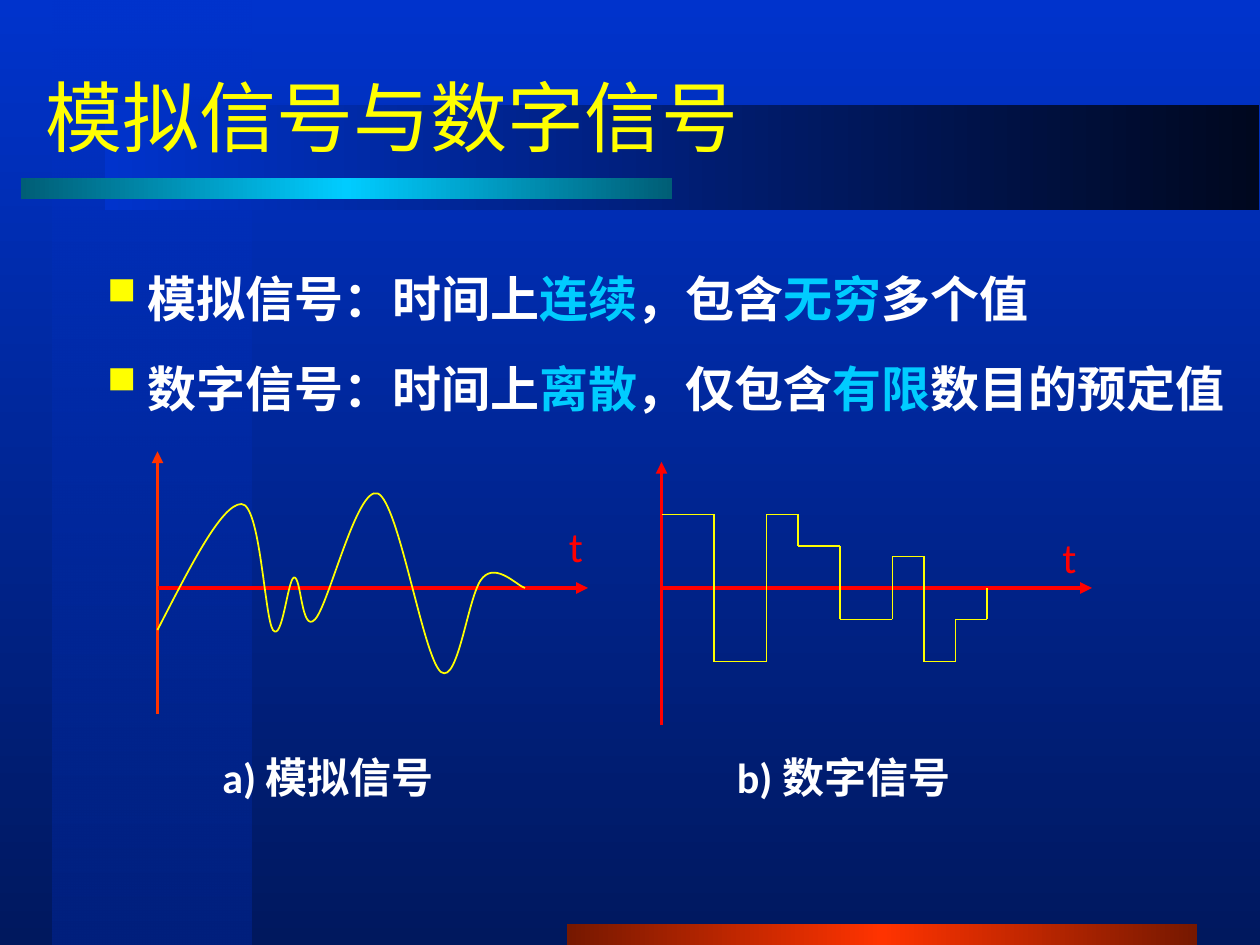
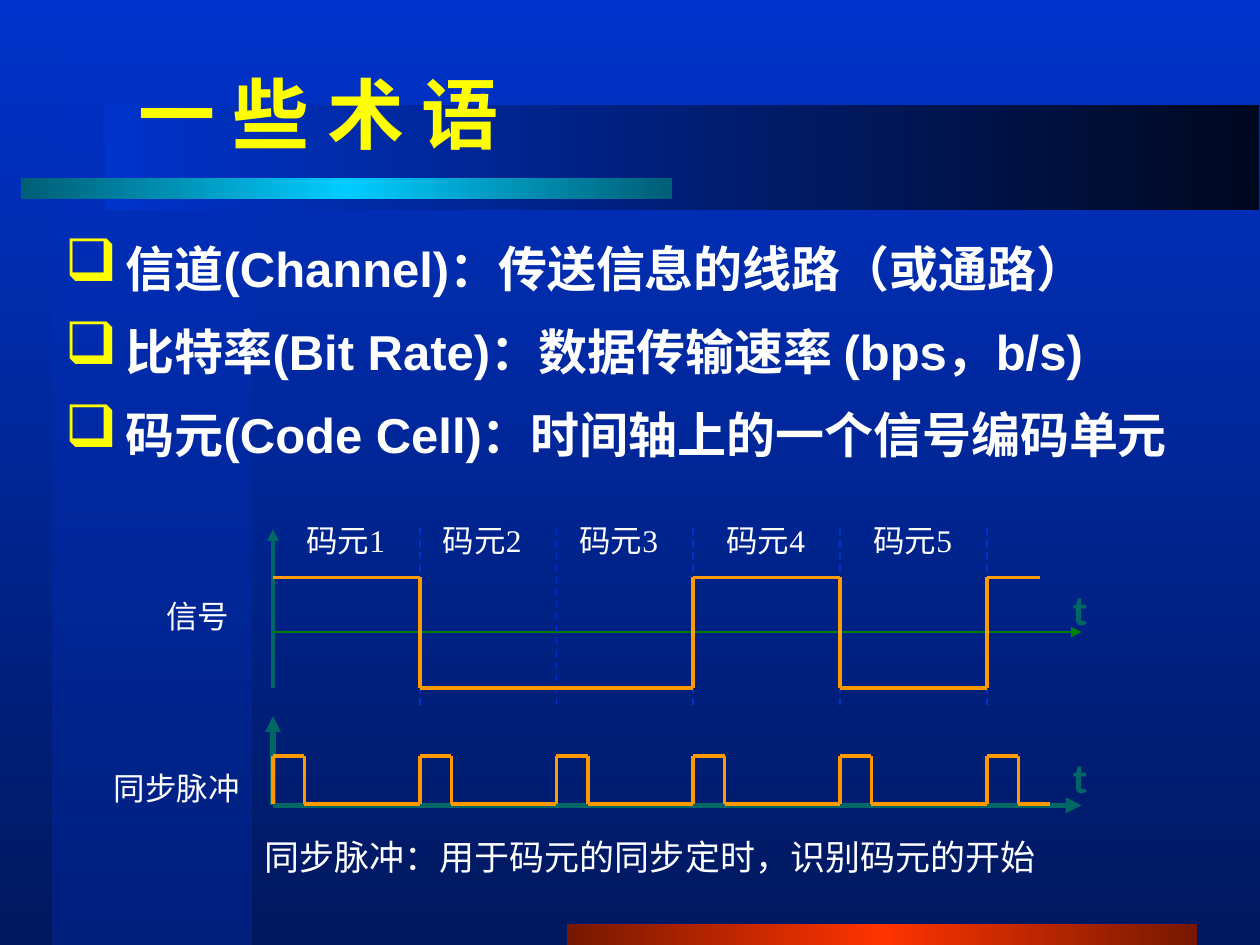
"""Two slides on analog and digital signals and on signalling terms."""
from lxml import etree
from pptx import Presentation
from pptx import util as u
from pptx.dml.color import RGBColor
from pptx.enum import dml, shapes, text
from pptx.oxml.ns import qn

SCALE = 7620
COLORS = {
    "blue": "0033CC", "navy": "00185E", "panel": "00207E", "night": "00081F",
    "rust": "761800", "flame": "FF3300", "teal": "005E76", "cyan": "00CCFF",
    "title": "FFFF01", "yellow": "FFFF00", "red": "FF0000", "white": "FFFFFF",
    "axis": "006666", "green": "008000", "orange": "FF9900",
}
CJK = "Noto Sans CJK SC"
BANDS = [
    ((50, 0, 190, 900), ["blue", "panel"], 90, 50),
    ((540, 880, 600, 20), ["rust", "flame", "rust"], 0, None),
    ((100, 100, 1099, 100), ["blue", "night"], 0, None),
    ((20, 170, 620, 20), ["teal", "cyan", "teal"], 0, None),
]


def px(length):
    """Turn px into EMU."""
    return u.Emu(round(length * SCALE))


def rgb(name):
    """Look up a named colour."""
    return RGBColor.from_string(COLORS[name])


def child(parent, tag, **attributes):
    """Append a DrawingML element to its parent."""
    return etree.SubElement(parent, qn(tag), attributes)


def paint_gradient(owner, fill, names, angle, alpha=None):
    """Fill with evenly spaced stops; alpha applies to the first stop."""
    fill.gradient()
    stops = next(owner.iter(qn("a:gsLst")))
    for stop in list(stops):
        stops.remove(stop)
    for index, name in enumerate(names):
        position = index * 100000 // (len(names) - 1)
        stop = child(stops, "a:gs", pos=str(position))
        color = child(stop, "a:srgbClr", val=COLORS[name])
        if alpha and index == 0:
            child(color, "a:alpha", val=str(alpha * 1000))
    next(owner.iter(qn("a:lin"))).set("ang", str(angle * 60000))


def style_span(span, size, font, color, bold):
    """Set the look of one run, with the East Asian font as well."""
    span.font.size = u.Pt(size)
    span.font.bold = bold
    span.font.name = font
    span.font.color.rgb = rgb(color)
    child(span.font._element, "a:ea", typeface=CJK)


def add_text(page, box, lines, size, font="Times New Roman", color="white", bold=False,
             align=text.PP_ALIGN.LEFT, anchor=text.MSO_ANCHOR.TOP, gap=0, spacing=None, bullet=None):
    """Add a text box; parts of a line between bars take the accent colour."""
    frame = page.shapes.add_textbox(*map(px, box)).text_frame
    frame.word_wrap = True
    frame.vertical_anchor = anchor
    for index, line in enumerate(lines):
        para = frame.add_paragraph() if index else frame.paragraphs[0]
        para.alignment = align
        para.line_spacing = spacing
        para.space_before = u.Pt(gap if index else 0)
        if bullet:
            add_bullet(para, *bullet)
        for order, part in enumerate(line.split("|")):
            span = para.add_run()
            span.text = part
            style_span(span, size, font, "cyan" if order % 2 else color, bold)


def add_bullet(para, mark, percent, indent):
    """Give a paragraph a yellow bullet and a hanging indent."""
    settings = para._p.get_or_add_pPr()
    settings.set("marL", str(px(indent)))
    settings.set("indent", str(-px(indent)))
    child(child(settings, "a:buClr"), "a:srgbClr", val=COLORS["yellow"])
    child(settings, "a:buSzPct", val=str(percent * 1000))
    child(settings, "a:buChar", char=mark)


def add_line(parent, start, end, color, width, dashed=False, arrow=False):
    """Draw a straight line, with an optional arrowhead at its end."""
    line = parent.shapes.add_connector(
        shapes.MSO_CONNECTOR.STRAIGHT, *map(px, (*start, *end)))
    line.line.color.rgb = rgb(color)
    line.line.width = u.Pt(width)
    if dashed:
        line.line.dash_style = dml.MSO_LINE.DASH
    if arrow:
        child(line.line._get_or_add_ln(), "a:tailEnd", type="triangle")
    child(line._element.spPr, "a:effectLst")


def add_trace(page, points, color, width):
    """Draw a stepped signal as a group of joined lines."""
    group = page.shapes.add_group_shape()
    for start, end in zip(points, points[1:]):
        add_line(group, start, end, color, width)


def add_curve(page, points, color, width):
    """Draw a smooth curve from a start and triples of Bezier points."""
    builder = page.shapes.build_freeform(*points[0], scale=SCALE)
    builder.add_line_segments(points[1:], close=False)
    curve = builder.convert_to_shape()
    curve.shadow.inherit = False
    curve.fill.background()
    curve.line.color.rgb = rgb(color)
    curve.line.width = u.Pt(width)
    outline = next(curve._element.iter(qn("a:path")))
    segments = outline.findall(qn("a:lnTo"))
    for first in range(0, len(segments), 3):
        bend = child(outline, "a:cubicBezTo")
        for segment in segments[first:first + 3]:
            bend.append(segment[0])
            outline.remove(segment)


def add_page(deck, title, box, bold):
    """Add a slide with the shared background, bands and title."""
    page = deck.slides.add_slide(deck.slide_layouts[6])
    paint_gradient(page._element, page.background.fill, ["blue", "navy"], 90)
    for place, names, angle, alpha in BANDS:
        band = page.shapes.add_shape(shapes.MSO_SHAPE.RECTANGLE, *map(px, place))
        band.shadow.inherit = False
        band.line.fill.background()
        paint_gradient(band._element, band.fill, names, angle, alpha)
    add_text(page, box, [title], 44, CJK, "title", bold, anchor=text.MSO_ANCHOR.MIDDLE)
    return page


def shift(points, origin):
    """Move points from a panel's origin to the slide."""
    return [(origin[0] + x, origin[1] + y) for x, y in points]


def add_axes(page, origin, top, bottom, color, label, caption_left, caption):
    """Draw the axes of a signal panel with its time label and caption."""
    x, y = origin
    add_line(page, (x, y + bottom), (x, y + top), color, 2.25, arrow=True)
    add_line(page, origin, (x + 410, y), "red", 2.25, arrow=True)
    add_text(page, (x + label[0], y + label[1], 50, 60), ["t"], 24, "Calibri", "red")
    add_text(page, (x + caption_left, y + 150, 280, 60), [caption], 24, "Calibri", bold=True)


def add_analog_panel(page, origin):
    """Draw the continuous signal."""
    add_axes(page, origin, -130, 120, "flame", (380, -70), 50, "a) 模拟信号")
    wave = [(0, 40), (31, -20), (61, -80), (80, -80), (98, -80), (102, 28), (110, 40),
            (119, 52), (124, -8), (130, -10), (137, -12), (137, 44), (150, 30),
            (163, 17), (190, -98), (210, -90), (230, -81), (253, 66), (270, 80),
            (287, 93), (296, 3), (310, -10), (323, -24), (343, -2), (350, 0)]
    add_curve(page, shift(wave, origin), "yellow", 1)


def add_digital_panel(page, origin):
    """Draw the stepped signal."""
    add_axes(page, origin, -120, 130, "red", (370, -60), 60, "b) 数字信号")
    levels = [(0, -70), (50, 70), (100, -70), (130, -40), (170, 30),
              (220, -30), (250, 70), (280, 30), (310, 0)]
    steps = levels[:1]
    for x, level in levels[1:]:
        steps += [(x, steps[-1][1]), (x, level)]
    add_trace(page, shift(steps, origin), "yellow", 1)


def add_signal_page(deck):
    """Compare analog and digital signals."""
    page = add_page(deck, "模拟信号与数字信号", (32, 50, 988, 120), False)
    add_analog_panel(page, (150, 560))
    add_digital_panel(page, (630, 560))
    add_text(page, (80, 250, 1120, 154),
             ["模拟信号：时间上|连续|，包含|无穷|多个值",
              "数字信号：时间上|离散|，仅包含|有限|数目的预定值"],
             28, bold=True, gap=17.5, bullet=("▪", 140, 47))


def add_timing_diagram(page, left, top):
    """Draw the code cells, the signal and its sync pulses."""
    edges = [left + offset for offset in (0, 140, 270, 400, 540, 680)]
    middle, high, low = top + 112, top + 60, top + 165
    add_line(page, (left, low), (left, top + 14), "axis", 2.25, arrow=True)
    add_line(page, (left, middle), (left + 770, middle), "green", 1, arrow=True)
    for number, edge in enumerate(edges[1:], 1):
        add_line(page, (edge, top + 13), (edge, top + 184), "blue", 1, dashed=True)
        add_text(page, (edge - 120, top, 110, 48), [f"码元{number}"], 18)

    base, peak = top + 276, top + 230
    add_line(page, (left, base + 1), (left, top + 192), "axis", 3, arrow=True)
    add_line(page, (left, base + 1), (left + 770, base + 1), "axis", 3, arrow=True)
    for label_top in (top + 60, top + 220):
        add_text(page, (left + 750, label_top, 60, 60), ["t"], 24, "Calibri", "axis", True)

    signal = [(left, high)]
    for edge, level in zip(edges[1:2] + edges[3:], (low, high, low, high)):
        signal += [(edge, signal[-1][1]), (edge, level)]
    add_trace(page, signal + [(left + 730, high)], "orange", 2.25)
    pulses = [point for edge in edges for point in
              ((edge, base), (edge, peak), (edge + 30, peak), (edge + 30, base))]
    add_trace(page, pulses + [(left + 740, base)], "orange", 2.25)

    right = text.PP_ALIGN.RIGHT
    add_text(page, (left - 140, top + 73, 110, 48), ["信号"], 18, align=right)
    add_text(page, (left - 190, top + 237, 170, 48), ["同步脉冲"], 18, align=right)
    add_text(page, (left - 20, top + 300, 780, 53),
             ["同步脉冲：用于码元的同步定时，识别码元的开始"], 20, CJK)


def add_terms_page(deck):
    """Define the terms and show a timing diagram."""
    page = add_page(deck, "一 些 术 语", (120, 50, 440, 114), True)
    add_text(page, (50, 210, 1110, 260),
             ["信道(Channel)：传送信息的线路（或通路）",
              "比特率(Bit Rate)：数据传输速率 (bps，b/s)",
              "码元(Code Cell)：时间轴上的一个信号编码单元"],
             28, "Arial", bold=True, gap=7, spacing=1.2, bullet=("❑", 120, 58))
    add_timing_diagram(page, 260, 490)


def main():
    """Build and save the deck."""
    deck = Presentation()
    deck.slide_width, deck.slide_height = px(1200), px(900)
    add_signal_page(deck)
    add_terms_page(deck)
    deck.save("out.pptx")


if __name__ == "__main__":
    main()
